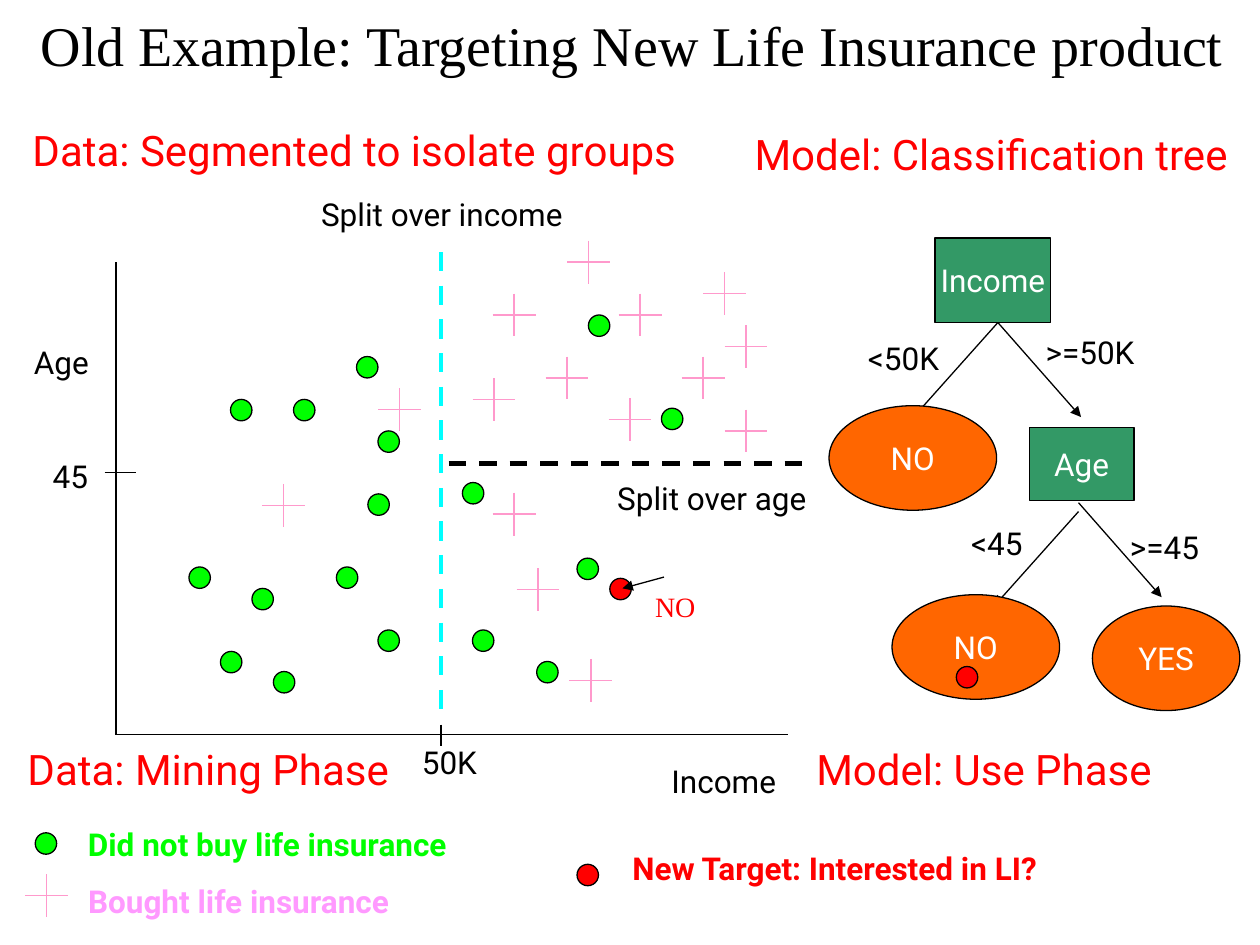
from dataclasses import dataclass

import pptx
import pptx.dml.color
import pptx.enum.dml
import pptx.enum.shapes
import pptx.enum.text
import pptx.oxml
import pptx.oxml.ns
import pptx.util

HUES = {
    "black": "000000", "white": "FFFFFF", "red": "FF0000", "lime": "00FF00",
    "pink": "FF99CC", "mauve": "FF99FF", "cyan": "00FFFF",
    "green": "339966", "orange": "FF6600",
}
FORMS = pptx.enum.shapes.MSO_SHAPE
ALIGN = pptx.enum.text.PP_ALIGN
MID = pptx.enum.text.MSO_ANCHOR.MIDDLE
DASH = pptx.enum.dml.MSO_LINE.DASH
DOT = 0.17
ARM = 0.17


@dataclass
class Label:
    text: str
    x: float
    y: float
    w: float
    h: float = 0.4
    size: int = 18
    hue: str = "black"
    bold: bool = False
    font: str = "Roboto"


@dataclass
class Line:
    x1: float
    y1: float
    x2: float
    y2: float
    hue: str = "black"
    width: float = 0.75
    dash: bool = False
    arrow: bool = False


@dataclass
class Node:
    text: str
    x: float
    y: float
    w: float
    h: float
    form: int
    hue: str


def inch(n: float) -> pptx.util.Cm:
    return pptx.util.Cm(n * 2.54)


def color(name: str) -> pptx.dml.color.RGBColor:
    return pptx.dml.color.RGBColor.from_string(HUES[name])


def add_run(para, text: str, size: int, hue: str, font: str = "Roboto",
            bold: bool = False) -> None:
    run = para.add_run()
    run.text = text
    run.font.size = pptx.util.Pt(size)
    run.font.name = font
    run.font.bold = bold
    run.font.color.rgb = color(hue)


def add_label(slide, lab: Label) -> None:
    box = slide.shapes.add_textbox(*map(inch, (lab.x, lab.y, lab.w, lab.h)))
    frame = box.text_frame
    frame.word_wrap = True
    frame.margin_right = 0
    add_run(frame.paragraphs[0], lab.text, lab.size, lab.hue, lab.font, lab.bold)


def add_line(slide, line: Line) -> None:
    ends = map(inch, (line.x1, line.y1, line.x2, line.y2))
    link = slide.shapes.add_connector(pptx.enum.shapes.MSO_CONNECTOR.STRAIGHT, *ends)
    link.line.color.rgb = color(line.hue)
    link.line.width = pptx.util.Pt(line.width)
    if line.dash:
        link.line.dash_style = DASH
    props = link._element.spPr
    if line.arrow:
        tip = pptx.oxml.parse_xml(
            f'<a:tailEnd {pptx.oxml.ns.nsdecls("a")} type="triangle"/>')
        link.line._get_or_add_ln().append(tip)
    props.append(pptx.oxml.parse_xml(f'<a:effectLst {pptx.oxml.ns.nsdecls("a")}/>'))


def add_form(slide, form: int, x: float, y: float, w: float, h: float, hue: str):
    shape = slide.shapes.add_shape(form, *map(inch, (x, y, w, h)))
    shape.shadow.inherit = False
    shape.fill.solid()
    shape.fill.fore_color.rgb = color(hue)
    shape.line.color.rgb = color("black")
    shape.line.width = pptx.util.Pt(0.75)
    return shape


def add_dot(slide, x: float, y: float, hue: str) -> None:
    add_form(slide, FORMS.OVAL, x, y, DOT, DOT, hue)


def add_cross(slide, x: float, y: float) -> None:
    """Draw a plus sign centred on x, y."""
    add_line(slide, Line(x - ARM, y, x + ARM, y, "pink"))
    add_line(slide, Line(x, y - ARM, x, y + ARM, "pink"))


def add_node(slide, node: Node) -> None:
    shape = add_form(slide, node.form, node.x, node.y, node.w, node.h, node.hue)
    frame = shape.text_frame
    frame.word_wrap = False
    frame.vertical_anchor = MID
    para = frame.paragraphs[0]
    para.alignment = ALIGN.CENTER
    add_run(para, node.text, 18, "white")


def add_title(slide, text: str) -> None:
    title = slide.shapes.title
    title.left, title.top, title.width, title.height = map(inch, (0.2, 0.08, 9.64, 0.95))
    frame = title.text_frame
    frame.word_wrap = True
    frame.vertical_anchor = pptx.enum.text.MSO_ANCHOR.TOP
    frame.margin_left = frame.margin_right = frame.margin_top = 0
    para = frame.paragraphs[0]
    para.alignment = ALIGN.CENTER
    add_run(para, text, 32, "black", "Times New Roman")


# Scatter points: cross centres, then top left corners of dots
CROSSES = [
    (5.75, 2.33), (5.58, 3), (4.5, 3), (5.08, 2.5), (5.92, 2.75), (5.92, 3.42),
    (4.08, 2.5), (5, 3.33), (4.67, 2.08), (3.17, 3.25), (4.08, 4.08),
    (3.92, 3.17), (4.27, 4.68), (4.69, 5.4), (2.25, 4.01),
    (0.37, 7.11),  # legend
]
DOTS = [
    (2.67, 4.5), (3, 3.42), (3, 5), (2.92, 3.92), (2.33, 3.17), (2, 4.67),
    (2.17, 5.33), (1.75, 5.17), (1.5, 4.5), (3.67, 3.83), (4.58, 4.43),
    (1.83, 3.17), (2.83, 2.83), (4.26, 5.25), (3.75, 5), (4.67, 2.5), (5.25, 3.24),
    (0.28, 6.61),  # legend
]
TARGETS = [(7.59, 5.29), (4.58, 6.86), (4.84, 4.59)]

LINES = [
    # Axes and ticks
    Line(0.92, 2.08, 0.92, 5.83),
    Line(0.92, 5.83, 6.25, 5.83),
    Line(3.5, 5.75, 3.5, 5.92),
    Line(0.83, 3.75, 1.08, 3.75),
    # Splits
    Line(3.56, 3.68, 6.39, 3.68, width=2.5, dash=True),
    Line(3.5, 2, 3.5, 5.67, "cyan", 2.75, dash=True),
    # Tree branches
    Line(7.92, 2.56, 7.25, 3.31, arrow=True),
    Line(7.92, 2.56, 8.58, 3.31, arrow=True),
    Line(8.56, 4.06, 7.89, 4.81, arrow=True),
    Line(8.56, 3.99, 9.22, 4.74, arrow=True),
]
POINTER = Line(5.27, 4.58, 4.94, 4.67, arrow=True)

NODES = [
    Node("Income", 7.42, 1.89, 0.92, 0.67, FORMS.RECTANGLE, "green"),
    Node("Age", 8.17, 3.39, 0.83, 0.58, FORMS.RECTANGLE, "green"),
    Node("NO", 6.58, 3.22, 1.33, 0.83, FORMS.OVAL, "orange"),
    Node("NO", 7.08, 4.72, 1.33, 0.83, FORMS.OVAL, "orange"),
    Node("YES", 8.67, 4.81, 1.17, 0.83, FORMS.OVAL, "orange"),
]

LABELS = [
    # Headings
    Label("Data: Segmented to isolate groups", 0.16, 0.94, 5.63, 0.5, 24, "red"),
    Label("Model: Classification tree", 5.89, 0.97, 4.21, 0.5, 24, "red"),
    Label("Data: Mining Phase", 0.12, 5.85, 3.23, 0.5, 24, "red"),
    Label("Model: Use Phase", 6.38, 5.85, 2.98, 0.5, 24, "red"),
    # Plot
    Label("Income", 5.23, 6, 1.08),
    Label("Age", 0.17, 2.67, 0.79),
    Label("Split over age", 4.8, 3.75, 1.8),
    Label("Split over income", 2.45, 1.5, 2.23),
    Label("50K", 3.25, 5.85, 0.64),
    Label("45", 0.32, 3.58, 0.48),
    Label("NO", 5.1, 4.63, 0.69, 0.37, 16, "red", font="Times New Roman"),
    # Tree
    Label(">=50K", 8.2, 2.59, 0.92),
    Label("<50K", 6.79, 2.64, 0.78),
    Label(">=45", 8.87, 4.14, 0.77),
    Label("<45", 7.61, 4.11, 0.63),
    # Legend
    Label("Did not buy life insurance", 0.6, 6.5, 3.47, hue="lime", bold=True),
    Label("Bought life insurance", 0.6, 6.95, 2.88, hue="mauve", bold=True),
    Label("New Target: Interested in LI?", 4.92, 6.69, 3.9, hue="red", bold=True),
]


def main() -> None:
    deck = pptx.Presentation()
    deck.slide_width, deck.slide_height = inch(10), inch(7.5)
    slide = deck.slides.add_slide(deck.slide_layouts[5])
    add_title(slide, "Old Example: Targeting New Life Insurance product")
    for line in LINES:
        add_line(slide, line)
    for spot in CROSSES:
        add_cross(slide, *spot)
    for node in NODES:
        add_node(slide, node)
    for hue, spots in (("lime", DOTS), ("red", TARGETS)):
        for spot in spots:
            add_dot(slide, *spot, hue)
    add_line(slide, POINTER)
    for lab in LABELS:
        add_label(slide, lab)
    deck.save("out.pptx")


if __name__ == "__main__":
    main()
